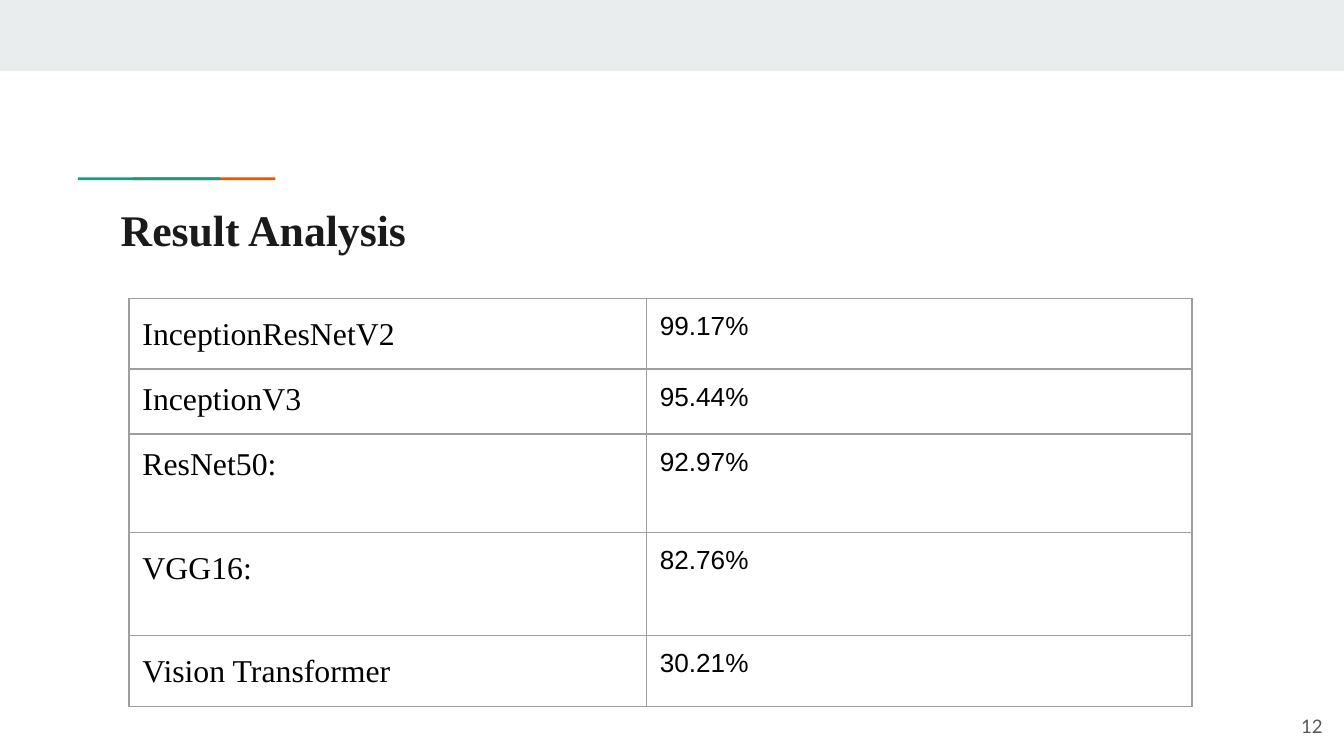
from dataclasses import dataclass

from lxml import etree
from pptx import Presentation
from pptx.dml.color import RGBColor
from pptx.enum.shapes import MSO_SHAPE as Shape
from pptx.enum.text import MSO_ANCHOR as Anchor, PP_ALIGN as Align
from pptx.oxml.ns import qn
from pptx.util import Inches, Pt


@dataclass(frozen=True)
class Theme:
    band: str = "E9EDEE"
    teal: str = "1A9988"
    orange: str = "EB5600"
    title: str = "1A1A1A"
    body: str = "000000"
    muted: str = "595959"
    border: str = "9E9E9E"
    serif: str = "Times New Roman"
    sans: str = "Arial"
    number_font: str = "Lato"
    title_size: float = 23.4
    model_size: float = 17
    score_size: float = 14
    number_size: float = 10
    border_width: float = 0.75
    inset: float = 0.1


THEME = Theme()

# model, accuracy, row height, line spacing of the model name
RESULTS = [
    ("InceptionResNetV2", "99.17%", 0.5, 1.15),
    ("InceptionV3", "95.44%", 0.46, None),
    ("ResNet50:", "92.97%", 0.73, None),
    ("VGG16:", "82.76%", 0.77, 1.15),
    ("Vision Transformer", "30.21%", 0.5, 1.15),
]
COLUMN_WIDTHS = (3.85, 4.06)


def write_text(frame, text, *, size, font, color, bold=False, align=Align.LEFT, spacing=None):
    paragraph = frame.paragraphs[0]
    paragraph.alignment = align
    if spacing:
        paragraph.line_spacing = spacing
    run = paragraph.add_run()
    run.text = text
    run.font.size = Pt(size)
    run.font.name = font
    run.font.bold = bold
    run.font.color.rgb = RGBColor.from_string(color)
    # The paragraph end takes the run's size, so that it does not stretch table rows
    etree.SubElement(paragraph._p, qn("a:endParaRPr"), sz=str(round(size * 100)))


def set_insets(target):
    target.margin_left = target.margin_right = Inches(THEME.inset)
    target.margin_top = target.margin_bottom = Inches(THEME.inset)


def add_bar(slide, box, color):
    bar = slide.shapes.add_shape(Shape.RECTANGLE, *map(Inches, box))
    bar.shadow.inherit = False
    bar.fill.solid()
    bar.fill.fore_color.rgb = RGBColor.from_string(color)
    bar.line.fill.background()


def add_label(slide, box, text, anchor=Anchor.TOP, **text_format):
    frame = slide.shapes.add_textbox(*map(Inches, box)).text_frame
    frame.word_wrap = True
    frame.vertical_anchor = anchor
    set_insets(frame)
    write_text(frame, text, **text_format)


def add_accent(slide, box):
    """Two overlapping bars of equal length, the teal one in front."""
    left, top, width, height = box
    length = 1.06
    add_bar(slide, (left + width - length, top, length, height), THEME.orange)
    add_bar(slide, (left, top, length, height), THEME.teal)


def set_borders(cell):
    properties = cell._tc.get_or_add_tcPr()
    for position, side in enumerate(("a:lnL", "a:lnR", "a:lnT", "a:lnB")):
        line = etree.Element(qn(side), w=str(Pt(THEME.border_width)))
        fill = etree.SubElement(line, qn("a:solidFill"))
        etree.SubElement(fill, qn("a:srgbClr"), val=THEME.border)
        properties.insert(position, line)


def add_results_table(slide, box):
    table = slide.shapes.add_table(
        len(RESULTS), len(COLUMN_WIDTHS), *map(Inches, box)).table
    table.first_row = table.horz_banding = False
    for column, width in zip(table.columns, COLUMN_WIDTHS):
        column.width = Inches(width)
    for row, (model, score, height, spacing) in zip(table.rows, RESULTS):
        row.height = Inches(height)
        model_cell, score_cell = row.cells
        write_text(model_cell.text_frame, model, size=THEME.model_size,
                   font=THEME.serif, color=THEME.body, spacing=spacing)
        write_text(score_cell.text_frame, score, size=THEME.score_size,
                   font=THEME.sans, color=THEME.body)
        for cell in (model_cell, score_cell):
            set_insets(cell)
            cell.fill.background()
            set_borders(cell)


def build_slide(presentation):
    slide = presentation.slides.add_slide(presentation.slide_layouts[6])

    # Header band and accent line
    add_bar(slide, (0, 0, 10, 0.53), THEME.band)
    add_accent(slide, (0.58, 1.32, 1.47, 0.02))

    # Title
    add_label(slide, (0.8, 1.41, 8.41, 0.59), "Result Analysis", bold=True,
              size=THEME.title_size, font=THEME.serif, color=THEME.title)

    # Slide number
    add_label(slide, (9.34, 5.19, 0.6, 0.43), "12", anchor=Anchor.MIDDLE, align=Align.RIGHT,
              size=THEME.number_size, font=THEME.number_font, color=THEME.muted)

    # Accuracy of each model
    table_height = sum(height for _, _, height, _ in RESULTS)
    add_results_table(slide, (0.96, 2.22, sum(COLUMN_WIDTHS), table_height))


def main():
    presentation = Presentation()
    # Widescreen, 16 by 9
    presentation.slide_width = Inches(10)
    presentation.slide_height = Inches(10 * 9 / 16)
    build_slide(presentation)
    presentation.save("out.pptx")


if __name__ == "__main__":
    main()
